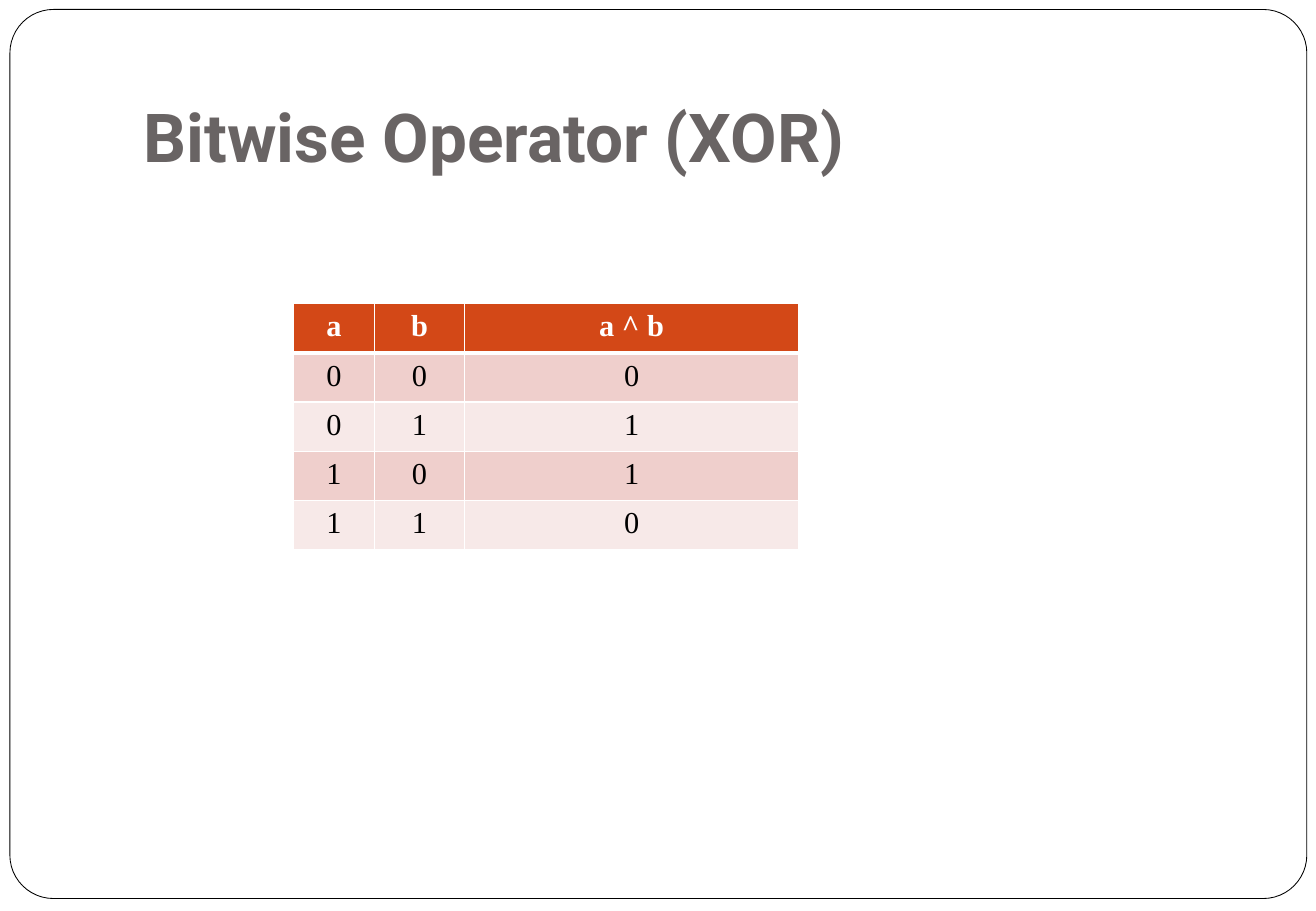
from lxml.etree import SubElement
from pptx import Presentation
from pptx.dml.color import RGBColor
from pptx.enum.shapes import MSO_SHAPE
from pptx.enum.text import MSO_ANCHOR, PP_ALIGN
from pptx.oxml.ns import qn
from pptx.util import Pt

TITLE = "Bitwise Operator (XOR)"
HEADER = ("a", "b", "a ^ b")
INPUTS = [(0, 0), (0, 1), (1, 0), (1, 1)]
ROWS = [HEADER] + [(a, b, a ^ b) for a, b in INPUTS]

SLIDE_SIZE = (780, 540)
FRAME = (5.9, 5.6, 768.7, 527)
TITLE_BOX = (78, 21.6, 663, 90)
TABLE_LEFT, TABLE_TOP = 174, 180
COLUMN_WIDTHS = (48, 53.4, 198)
ROW_HEIGHT = 29.2

WHITE, BLACK, GREY = "FFFFFF", "000000", "696464"
HEADER_FILL = "D34817"
BAND_FILLS = ("F7E9E8", "EFCFCC")


def color(value):
    return RGBColor.from_string(value)


def points(values):
    return [Pt(value) for value in values]


def set_font(para, name, size, value, bold):
    para.font.name = name
    para.font.size = Pt(size)
    para.font.color.rgb = color(value)
    para.font.bold = bold


def set_borders(cell, top, bottom):
    """Draw white cell borders; top and bottom are widths in points."""
    properties = cell._tc.get_or_add_tcPr()
    for side, width in (("L", 1), ("R", 1), ("T", top), ("B", bottom)):
        line = SubElement(properties, qn(f"a:ln{side}"), w=str(Pt(width)))
        fill = SubElement(line, qn("a:solidFill"))
        SubElement(fill, qn("a:srgbClr"), val=WHITE)


def add_frame(page):
    frame = page.shapes.add_shape(MSO_SHAPE.ROUNDED_RECTANGLE, *points(FRAME))
    frame.adjustments[0] = 0.049
    frame.shadow.inherit = False
    frame.fill.solid()
    frame.fill.fore_color.rgb = color(WHITE)
    frame.line.color.rgb = color(BLACK)
    frame.line.width = Pt(0.5)
    page.shapes.title._element.addprevious(frame._element)


def format_title(page):
    title = page.shapes.title
    title.left, title.top, title.width, title.height = points(TITLE_BOX)
    box = title.text_frame
    box.text = TITLE
    box.vertical_anchor = MSO_ANCHOR.BOTTOM
    box.margin_left = box.margin_right = box.margin_bottom = Pt(7.2)
    box.margin_top = Pt(3.6)
    para = box.paragraphs[0]
    para.alignment = PP_ALIGN.LEFT
    set_font(para, "Roboto", 40, GREY, True)


def add_truth_table(page):
    area = (TABLE_LEFT, TABLE_TOP, sum(COLUMN_WIDTHS), ROW_HEIGHT * len(ROWS))
    table = page.shapes.add_table(len(ROWS), len(HEADER), *points(area)).table
    for column, width in zip(table.columns, COLUMN_WIDTHS):
        column.width = Pt(width)
    for i, values in enumerate(ROWS):
        is_header = i == 0
        table.rows[i].height = Pt(ROW_HEIGHT)
        for j, value in enumerate(values):
            cell = table.cell(i, j)
            set_borders(cell, 3 if i == 1 else 1, 3 if is_header else 1)
            cell.fill.solid()
            cell.fill.fore_color.rgb = color(HEADER_FILL if is_header else BAND_FILLS[i % 2])
            cell.text = str(value)
            para = cell.text_frame.paragraphs[0]
            para.alignment = PP_ALIGN.CENTER
            set_font(para, "Times New Roman", 18, WHITE if is_header else BLACK, is_header)


def main():
    deck = Presentation()
    deck.slide_width, deck.slide_height = points(SLIDE_SIZE)
    page = deck.slides.add_slide(deck.slide_layouts[5])
    add_frame(page)
    format_title(page)
    add_truth_table(page)
    deck.save("out.pptx")


if __name__ == "__main__":
    main()
